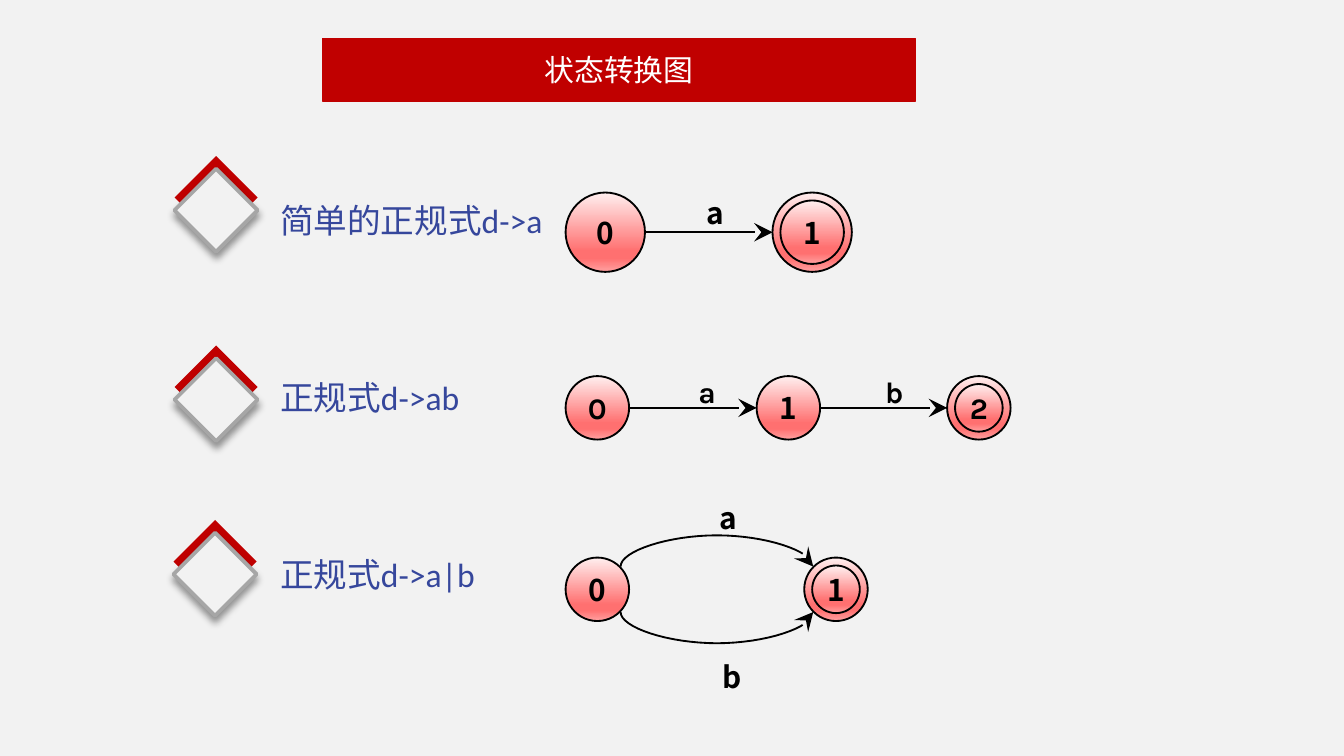
"""Build a slide of state transition diagrams for three regular expressions."""
from dataclasses import dataclass

from lxml.etree import SubElement
from pptx import Presentation
from pptx.dml.color import RGBColor
from pptx.enum.shapes import MSO_CONNECTOR, MSO_SHAPE
from pptx.enum.text import MSO_ANCHOR, MSO_AUTO_SIZE, PP_ALIGN
from pptx.oxml.ns import qn
from pptx.util import Cm, Pt

CENTER = PP_ALIGN.CENTER
MIDDLE = MSO_ANCHOR.MIDDLE
NO_FIT = MSO_AUTO_SIZE.NONE
DIAMOND = MSO_SHAPE.FLOWCHART_DECISION
CIRCLE = MSO_SHAPE.OVAL
STRAIGHT = MSO_CONNECTOR.STRAIGHT


@dataclass(frozen=True)
class Theme:
    page: RGBColor = RGBColor(0xF2, 0xF2, 0xF2)
    red: RGBColor = RGBColor(0xC0, 0x00, 0x00)
    grey: RGBColor = RGBColor(0xA6, 0xA6, 0xA6)
    blue: RGBColor = RGBColor(0x36, 0x47, 0x9C)
    black: RGBColor = RGBColor(0x00, 0x00, 0x00)
    white: RGBColor = RGBColor(0xFF, 0xFF, 0xFF)
    glow: tuple = ((0, "FFEFEF"), (74, "FF7070"), (83, "FF7070"), (100, "FFA0A0"))
    cjk: str = "Noto Sans CJK SC"
    latin: str = "Calibri"
    karla: str = "Karla"
    body_size: Pt = Pt(18)
    size: Pt = Pt(16)


theme = Theme()
title_format = {"size": theme.size, "name": theme.cjk, "bold": False}
body_format = {"size": theme.body_size, "name": theme.latin, "bold": False}
state_format = {"size": theme.size, "name": theme.cjk, "bold": True}
karla_format = {**state_format, "name": theme.karla}


def write(paragraph, words, formats, color):
    run = paragraph.add_run()
    run.text = words
    for attribute, value in formats.items():
        setattr(run.font, attribute, value)
    run.font.color.rgb = color
    SubElement(run.font._element, qn("a:ea"), typeface=theme.cjk)


def point_arrow(arrow):
    arrow.line.color.rgb = theme.black
    arrow.line.width = Pt(1)
    SubElement(arrow.line._get_or_add_ln(), qn("a:tailEnd"), type="stealth", w="lg", len="lg")


deck = Presentation()
deck.slide_width, deck.slide_height = Cm(25.4), Cm(14.29)
slide = deck.slides.add_slide(deck.slide_layouts[1])
slide.background.fill.solid()
slide.background.fill.fore_color.rgb = theme.page
shapes = slide.shapes

banner, expressions = slide.placeholders
for placeholder, (left, top, width, height) in (
    (banner, (6.1, 0.73, 11.2, 1.18)),
    (expressions, (4.09, 3.42, 14.81, 7.16)),
):
    placeholder.left, placeholder.top = Cm(left), Cm(top)
    placeholder.width, placeholder.height = Cm(width), Cm(height)
    placeholder.text_frame.auto_size = NO_FIT

banner.fill.solid()
banner.fill.fore_color.rgb = theme.red
banner.line.color.rgb = theme.red
banner.line.width = Pt(0.75)
banner.text_frame.vertical_anchor = MIDDLE
heading = banner.text_frame.paragraphs[0]
heading.alignment = CENTER
write(heading, "状态转换图", title_format, theme.white)

for index, expression in enumerate(("简单的正规式d->a", "正规式d->ab", "正规式d->a|b")):
    frame = expressions.text_frame
    entry = frame.add_paragraph() if index else frame.paragraphs[0]
    indents = entry._p.get_or_add_pPr()
    indents.set("marL", str(Cm(0.95)))
    indents.set("indent", "0")
    SubElement(indents, qn("a:buNone"))
    entry.line_spacing = Pt(28)
    entry.space_before = Pt(66.8 if index else 0)
    write(entry, expression, body_format, theme.blue)

for left, top in ((3.3, 2.95), (3.3, 6.53), (3.28, 9.83)):
    marker = shapes.add_group_shape().shapes
    for drop, color in ((0, theme.red), (0.24, theme.page)):
        diamond = marker.add_shape(DIAMOND, Cm(left), Cm(top + drop), Cm(1.57), Cm(1.57))
        diamond.shadow.inherit = False
        diamond.fill.solid()
        diamond.fill.fore_color.rgb = color
        if not drop:
            diamond.line.fill.background()
            continue
        diamond.line.color.rgb = theme.grey
        diamond.line.width = Pt(2)
        effects = diamond._element.spPr.find(qn("a:effectLst"))
        shade = SubElement(effects, qn("a:outerShdw"), blurRad=str(Pt(4)), dist=str(Pt(3)),
                           dir="5400000", algn="t", rotWithShape="0")
        shade_color = SubElement(shade, qn("a:srgbClr"), val=str(theme.black))
        SubElement(shade_color, qn("a:alpha"), val="40000")

states = (
    ("0", 11.44, 4.39, (1.5,), state_format),
    ("1", 15.35, 4.39, (1.5, 1.2), state_format),
    ("0", 11.29, 7.71, (1.2,), karla_format),
    ("1", 14.9, 7.71, (1.2,), state_format),
    ("2", 18.5, 7.71, (1.2, 0.9), karla_format),
    ("0", 11.29, 11.14, (1.2,), state_format),
    ("1", 15.8, 11.14, (1.2, 0.9), state_format),
)
for number, x, y, diameters, formats in states:
    for diameter in diameters:
        ring = shapes.add_shape(CIRCLE, Cm(x - diameter / 2), Cm(y - diameter / 2),
                                Cm(diameter), Cm(diameter))
        ring.shadow.inherit = False
        ring.line.color.rgb = theme.black
        ring.line.width = Pt(1)
        ring.fill.gradient()
        ring.fill.gradient_angle = 270
        stops = ring._element.spPr.find(".//" + qn("a:gsLst"))
        stops.clear()
        for position, color in theme.glow:
            stop = SubElement(stops, qn("a:gs"), pos=str(position * 1000))
            SubElement(stop, qn("a:srgbClr"), val=color)
    ring.text_frame.word_wrap = False
    ring.text_frame.vertical_anchor = MIDDLE
    ring.text_frame.paragraphs[0].alignment = CENTER
    write(ring.text_frame.paragraphs[0], number, formats, theme.black)

for start, end, y in ((12.19, 14.6, 4.39), (11.89, 14.3, 7.71), (15.5, 17.9, 7.71)):
    transition = shapes.add_connector(STRAIGHT, Cm(start), Cm(y), Cm(end), Cm(y))
    point_arrow(transition)
    SubElement(transition._element.spPr, qn("a:effectLst"))

steps = [step / 16 for step in range(17)]
rise = [(3 * t * t * (1 - t) * 0.5 + t ** 3, 1.5 * t * (1 - t) ** 2 + 3 * t * t * (1 - t) + t ** 3)
        for t in steps]
arch = rise + [(2 - along, up) for along, up in reversed(rise[:-1])]
for y, bend in ((10.71, -0.59), (11.57, 0.59)):
    points = [(Cm(11.73 + 1.82 * along), Cm(y + bend * up)) for along, up in arch]
    outline = shapes.build_freeform(*points[0])
    outline.add_line_segments(points[1:], close=False)
    curve = outline.convert_to_shape()
    curve.shadow.inherit = False
    curve.fill.background()
    point_arrow(curve)

for symbol, left, top, formats in (
    ("a", 13.11, 3.56, state_format),
    ("a", 12.95, 6.93, karla_format),
    ("b", 16.48, 6.93, karla_format),
    ("a", 13.34, 9.32, state_format),
    ("b", 13.41, 12.32, state_format),
):
    label = shapes.add_textbox(Cm(left), Cm(top), Cm(0.86), Cm(0.94))
    label.text_frame.word_wrap = False
    write(label.text_frame.paragraphs[0], symbol, formats, theme.black)

deck.save("out.pptx")
